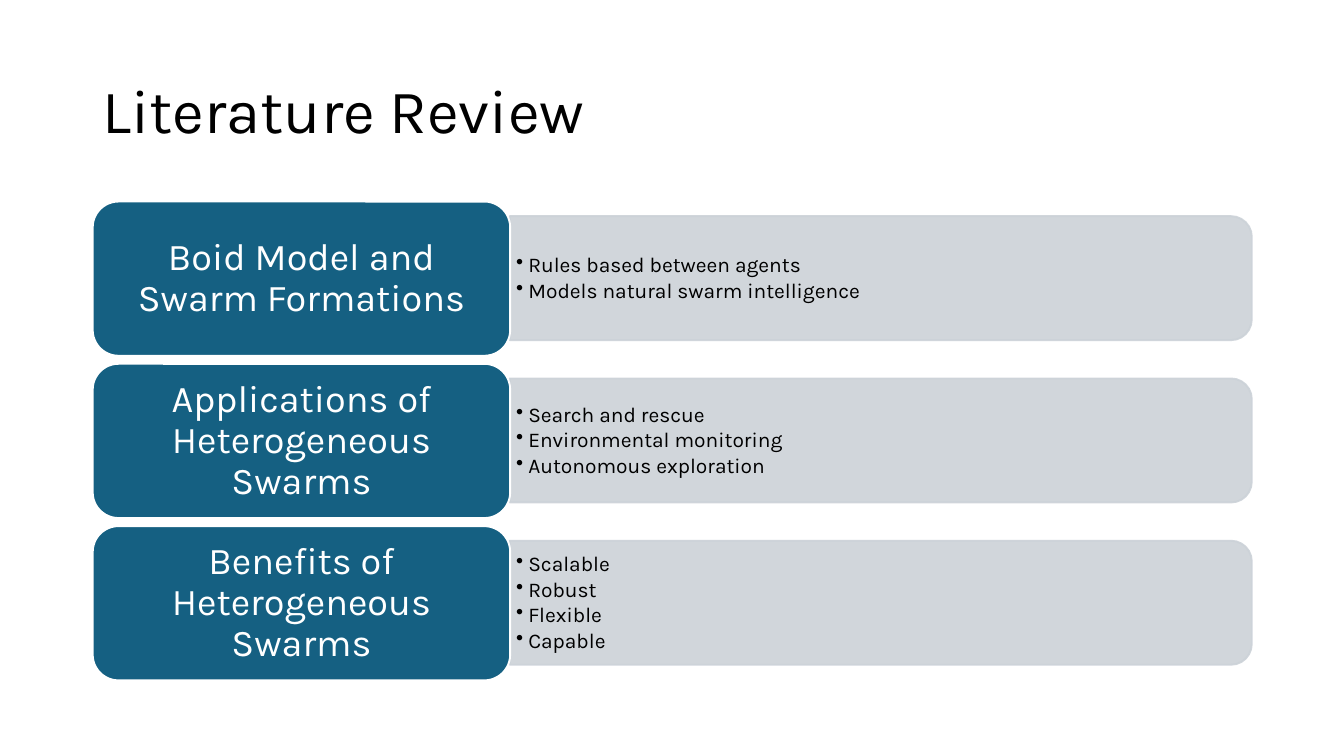
from lxml import etree
from pptx import Presentation
from pptx.dml.color import RGBColor
from pptx.enum.shapes import MSO_SHAPE as SHAPE
from pptx.enum.text import MSO_ANCHOR as ANCHOR, PP_ALIGN as ALIGN
from pptx.oxml.ns import qn
from pptx.util import Pt

PX = 9144  # EMU, 100 px to the inch
FONT = "Karla"
BLACK = RGBColor(0x00, 0x00, 0x00)
WHITE = RGBColor(0xFF, 0xFF, 0xFF)
TEAL = RGBColor(0x15, 0x60, 0x82)
GREY = RGBColor(0xCC, 0xD2, 0xD8)

ROW_TOP, ROW_PITCH = 200, 161
LABEL_LEFT, LABEL_WIDTH, LABEL_HEIGHT = 92, 414, 153
PANEL_LEFT = LABEL_LEFT + LABEL_WIDTH
PANEL_WIDTH, PANEL_HEIGHT = 736, 123
POINTS_WIDTH, POINTS_HEIGHT = 730, 111
BULLET_INDENT = 12

TOPICS = [
    ("Boid Model and Swarm Formations",
     ["Rules based between agents", "Models natural swarm intelligence"]),
    ("Applications of Heterogeneous Swarms",
     ["Search and rescue", "Environmental monitoring", "Autonomous exploration"]),
    ("Benefits of Heterogeneous Swarms",
     ["Scalable", "Robust", "Flexible", "Capable"]),
]


def px(*lengths):
    return [length * PX for length in lengths]


def add_bullet(paragraph):
    properties = paragraph._p.get_or_add_pPr()
    properties.set("marL", str(BULLET_INDENT * PX))
    properties.set("indent", str(-BULLET_INDENT * PX))
    etree.SubElement(properties, qn("a:buChar"), char="•")


def write(shape, lines, *, size, color=BLACK, align=ALIGN.LEFT,
          inset=(10, 5), bullets=False, gap=0):
    """Fill a shape with one paragraph per line, centred vertically."""
    frame = shape.text_frame
    frame.word_wrap = True
    frame.vertical_anchor = ANCHOR.MIDDLE
    frame.margin_left = frame.margin_right = inset[0] * PX
    frame.margin_top = frame.margin_bottom = inset[1] * PX
    for index, line in enumerate(lines):
        paragraph = frame.add_paragraph() if index else frame.paragraphs[0]
        if bullets:
            add_bullet(paragraph)
        paragraph.alignment = align
        paragraph.line_spacing = 0.9
        if index and gap:
            paragraph.space_before = Pt(gap)
        run = paragraph.add_run()
        run.text = line
        run.font.name = FONT
        run.font.size = Pt(size)
        run.font.color.rgb = color


def add_block(slide, kind, box, fill, line):
    block = slide.shapes.add_shape(kind, *px(*box))
    block.shadow.inherit = False
    block.fill.solid()
    block.fill.fore_color.rgb = fill
    block.line.color.rgb = line
    block.line.width = Pt(1.35)
    return block


def add_panel(slide, middle):
    """Draw a grey bar, turned so that its round corners face right."""
    left = PANEL_LEFT + (PANEL_WIDTH - PANEL_HEIGHT) // 2
    top = middle - PANEL_WIDTH // 2
    panel = add_block(slide, SHAPE.ROUND_2_SAME_RECTANGLE,
                      (left, top, PANEL_HEIGHT, PANEL_WIDTH), GREY, GREY)
    panel.rotation = 90
    for color in panel._element.spPr.iter(qn("a:srgbClr")):
        etree.SubElement(color, qn("a:alpha"), val="90000")


def add_topic(slide, top, heading, points):
    middle = top + LABEL_HEIGHT // 2
    add_panel(slide, middle)
    details = slide.shapes.add_textbox(
        *px(PANEL_LEFT, middle - POINTS_HEIGHT // 2, POINTS_WIDTH, POINTS_HEIGHT))
    write(details, points, size=15, inset=(6, 3), bullets=True, gap=2)
    label = add_block(slide, SHAPE.ROUNDED_RECTANGLE,
                      (LABEL_LEFT, top, LABEL_WIDTH, LABEL_HEIGHT), TEAL, WHITE)
    write(label, [heading], size=27, color=WHITE, align=ALIGN.CENTER, inset=(11, 6))


def main():
    deck = Presentation()
    deck.slide_width, deck.slide_height = px(1333, 750)
    slide = deck.slides.add_slide(deck.slide_layouts[6])
    title = slide.shapes.add_textbox(*px(92, 40, 1150, 145))
    write(title, ["Literature Review"], size=44)
    for row, (heading, points) in enumerate(TOPICS):
        add_topic(slide, ROW_TOP + row * ROW_PITCH, heading, points)
    deck.save("out.pptx")


if __name__ == "__main__":
    main()
